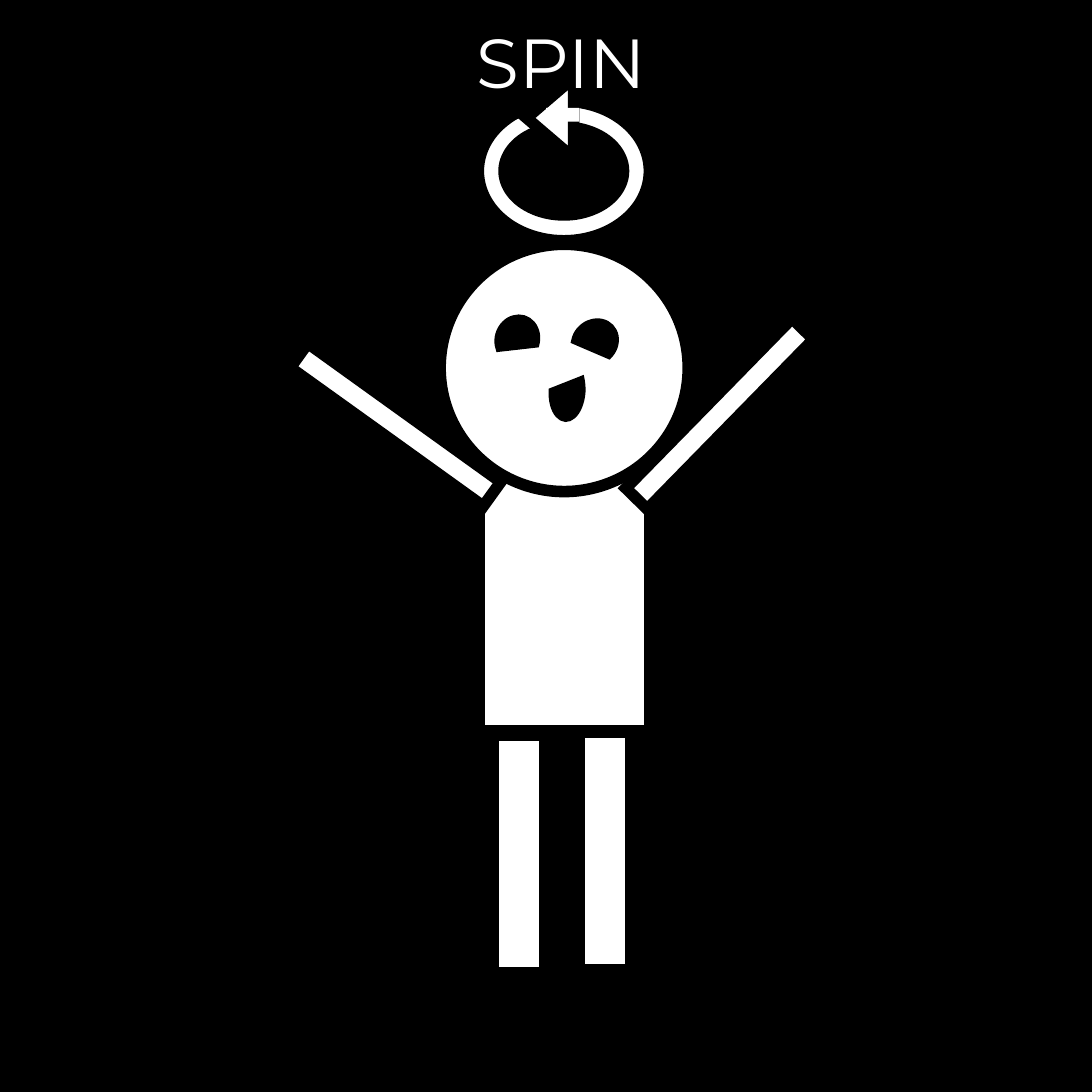
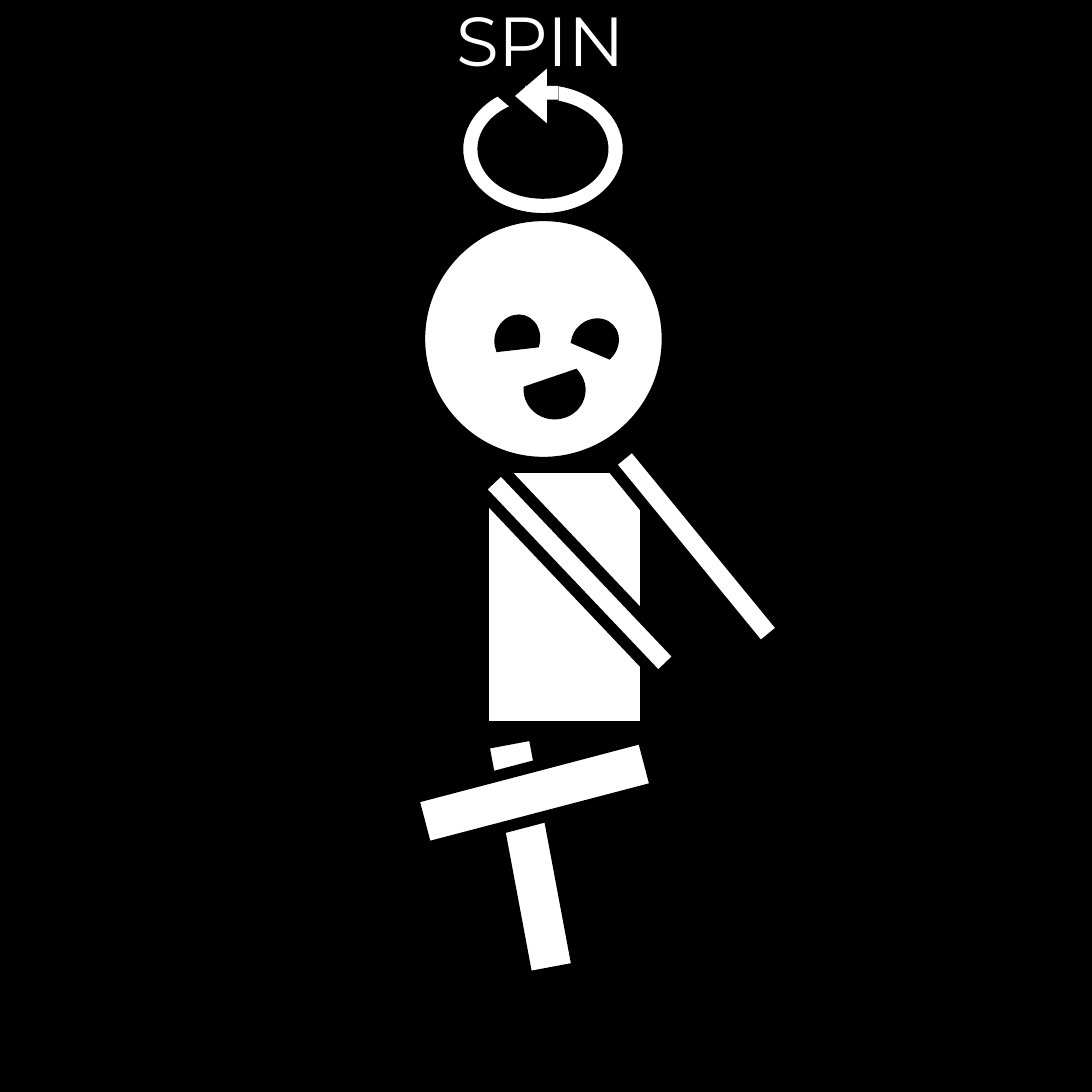
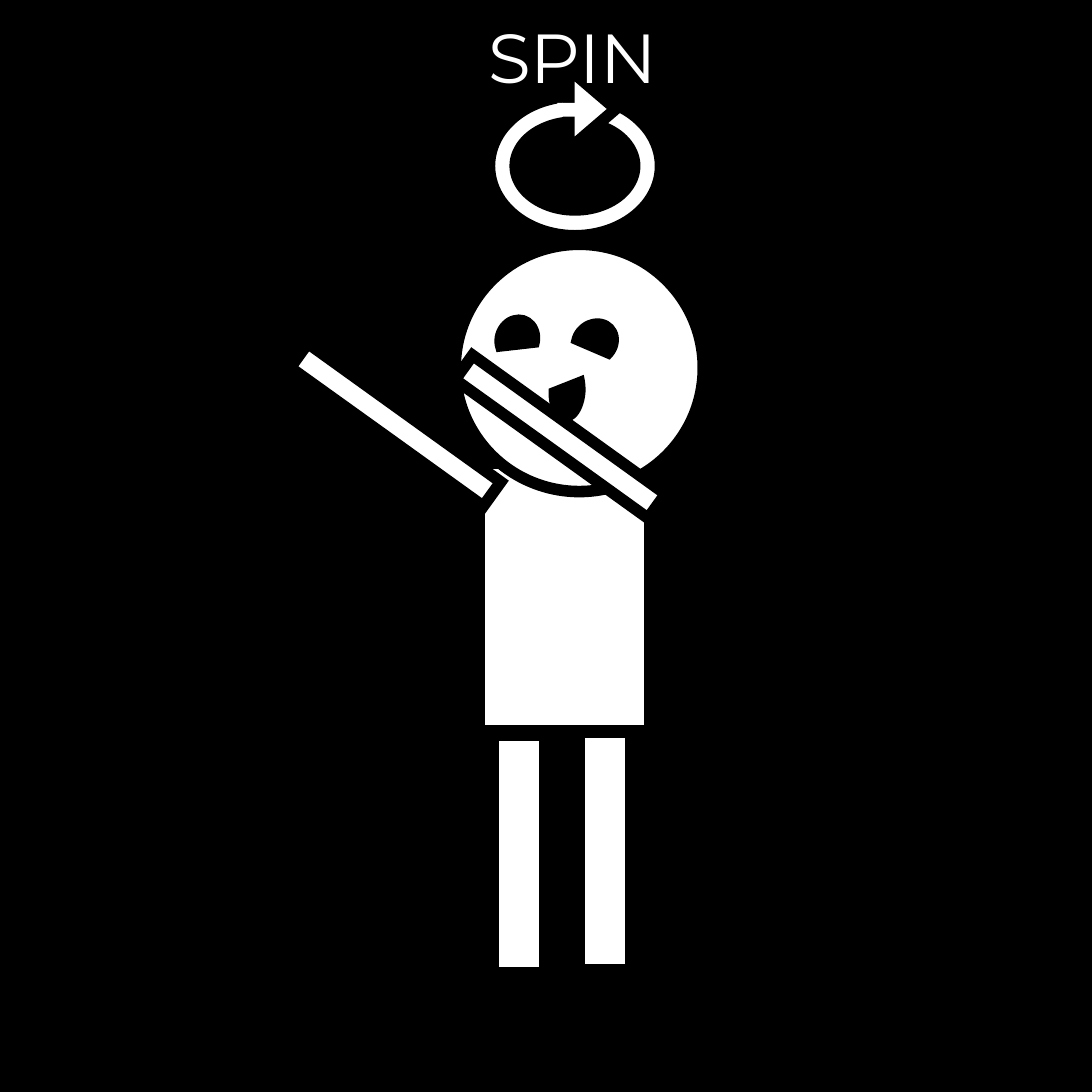
from lxml import etree
from pptx import Presentation
from pptx.dml.color import RGBColor
from pptx.enum.shapes import MSO_SHAPE
from pptx.enum.text import MSO_ANCHOR, MSO_AUTO_SIZE, PP_ALIGN
from pptx.oxml.ns import qn
from pptx.util import Pt

RECT, OVAL, CHORD = MSO_SHAPE.RECTANGLE, MSO_SHAPE.OVAL, MSO_SHAPE.CHORD
RING, ARROW = MSO_SHAPE.DONUT, MSO_SHAPE.ISOSCELES_TRIANGLE
TOP, LEFT, FIXED = MSO_ANCHOR.TOP, PP_ALIGN.LEFT, MSO_AUTO_SIZE.NONE

SIDE = 283.5
COLORS = {"ink": "000000", "paper": "FFFFFF"}
THIN, BOLD = 1, 3
LIMB, ARM, LEG = 61.7, 7.8, 13.4
FRAME = {"word_wrap": True, "auto_size": FIXED, "vertical_anchor": TOP}
FONT = {"name": "Montserrat", "size": Pt(18), "bold": False}


def color(name):
    """Return the named colour."""
    return RGBColor.from_string(COLORS[name])


def apply(item, values):
    """Set every attribute in values on item."""
    for name, value in values.items():
        setattr(item, name, value)


def shape(slide, kind, box, fill="paper", edge=BOLD, turn=0):
    """Draw a preset shape with a sharp-cornered black edge."""
    form = slide.shapes.add_shape(kind, *map(Pt, box))
    form.shadow.inherit = False
    form.rotation = turn
    form.fill.solid()
    form.fill.fore_color.rgb = color(fill)
    if not edge:
        form.line.fill.background()
        return form
    form.line.color.rgb = color("ink")
    form.line.width = Pt(edge)
    line = form.element.spPr.find(qn("a:ln"))
    etree.SubElement(line, qn("a:miter"), lim="800000")
    return form


def limb(slide, x, y, turn, thick, long=LIMB):
    """Draw an arm or a leg around its centre."""
    box = (x - long / 2, y - thick / 2, long, thick)
    shape(slide, RECT, box, turn=turn)


def head(slide, x, y):
    """Draw the round head."""
    shape(slide, OVAL, (x, y, 64.4, 64.2))


def eyes(slide):
    """Draw the two eyes."""
    for x, y, turn in ((128.2, 82.8, 106.7), (148.3, 83.5, 136.4)):
        shape(slide, CHORD, (x, y, 12.2, 10.8), "ink", THIN, turn)


def mouth(slide, box=(139.7, 97.2, 15.1, 8.6)):
    """Draw the open mouth."""
    shape(slide, CHORD, box, "ink", THIN, 273.4)


def body(slide, edge):
    """Draw the trunk."""
    shape(slide, RECT, (125.5, 121.2, 42.3, 67.6), edge=edge)


def legs(slide):
    """Draw two straight legs."""
    limb(slide, 157.1, 220.9, 90, LEG)
    limb(slide, 134.8, 221.6, 90, LEG)


def spin(slide, x, y, tip=(7.2, -2.8), turn=270):
    """Draw the turning arrow and put the title above it."""
    ring = shape(slide, RING, (x, y, 42.4, 34.2), edge=THIN)
    ring.adjustments[0] = 0.137
    shape(slide, ARROW, (x + tip[0], y + tip[1], 20.9, 12.2), turn=turn)
    shape(slide, RECT, (x + 16.6, y + 0.7, 8.6, 3.6), edge=0)
    title = slide.shapes.title
    apply(title, {"left": Pt(x - 8.6), "top": Pt(y - 25.9),
                  "width": Pt(71.3), "height": Pt(28.8)})
    title.text = "SPIN"
    apply(title.text_frame, FRAME)
    line = title.text_frame.paragraphs[0]
    line.alignment = LEFT
    font = line.runs[0].font
    apply(font, FONT)
    font.color.rgb = color("paper")
    title.element.getparent().append(title.element)


def cheer(slide):
    """Draw the figure with both arms raised."""
    body(slide, THIN)
    head(slide, 114.3, 63.4)
    eyes(slide)
    mouth(slide)
    limb(slide, 102.7, 110.3, 35.7, ARM)
    limb(slide, 186.8, 107.4, 134.4, ARM)
    legs(slide)
    spin(slide, 125.2, 27.3)


def twirl(slide):
    """Draw the figure on one leg."""
    head(slide, 108.9, 55.9)
    eyes(slide)
    mouth(slide, (136.8, 93.6, 14.4, 15.1))
    body(slide, BOLD)
    limb(slide, 150.5, 148.8, 46.5, ARM, 67.4)
    limb(slide, 180.8, 141.8, 230.7, ARM)
    limb(slide, 137.7, 222.2, 79.4, LEG)
    limb(slide, 138.8, 205.8, 165.3, LEG)
    spin(slide, 119.8, 21.6)


def sweep(slide):
    """Draw the figure with both arms to one side."""
    body(slide, THIN)
    head(slide, 118.2, 63.4)
    eyes(slide)
    limb(slide, 102.7, 110.3, 35.7, ARM)
    legs(slide)
    limb(slide, 145.5, 113.4, 35.7, ARM)
    mouth(slide)
    spin(slide, 128.1, 26, (15.2, -3.8), 90)


def main():
    """Build and save the deck."""
    deck = Presentation()
    apply(deck, {"slide_width": Pt(SIDE), "slide_height": Pt(SIDE)})
    back = deck.slide_master.background.fill
    back.solid()
    back.fore_color.rgb = color("ink")
    for pose in (cheer, twirl, sweep):
        pose(deck.slides.add_slide(deck.slide_layouts[5]))
    deck.save("out.pptx")


main()
